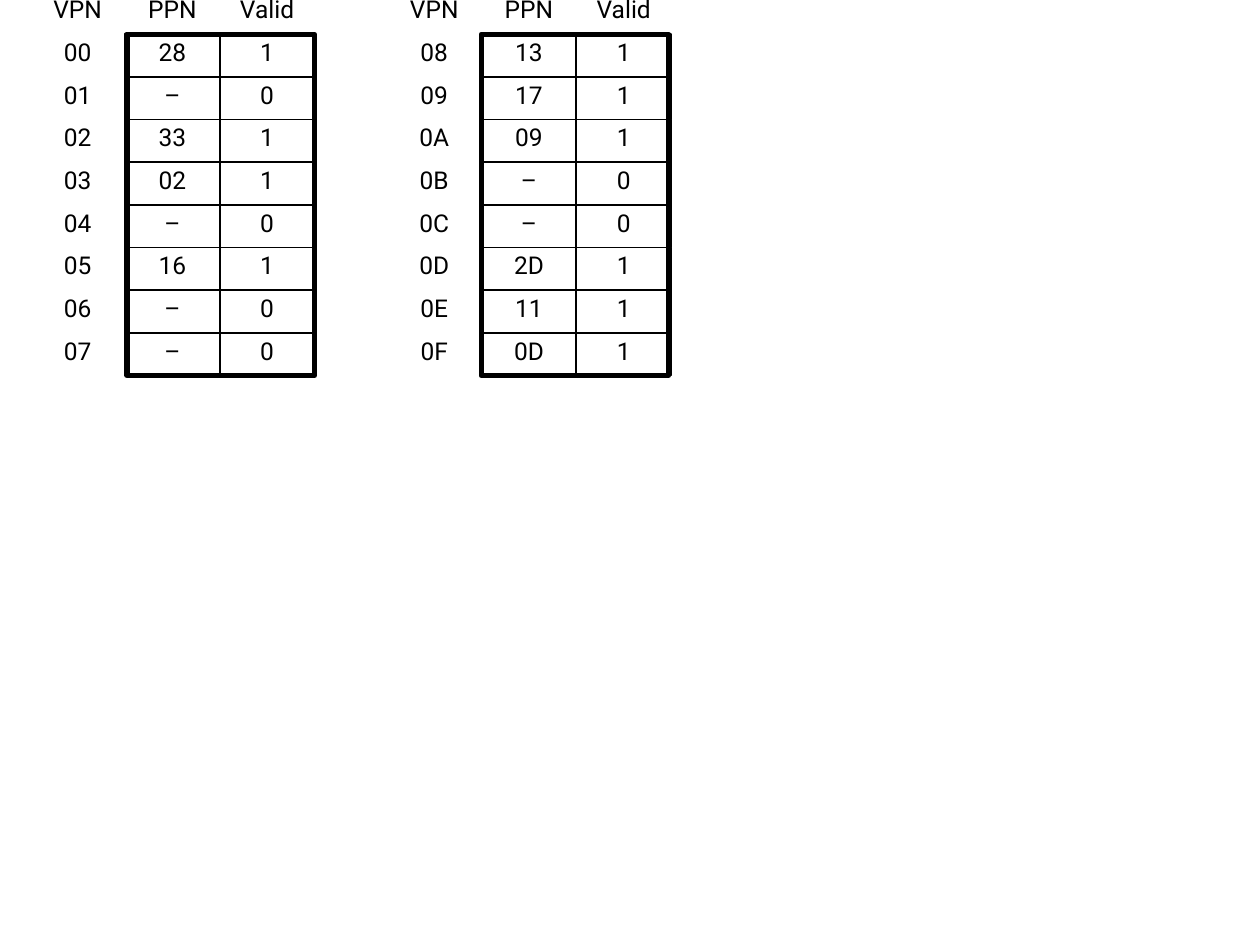
from pptx import Presentation
from pptx.dml.color import RGBColor
from pptx.enum.shapes import MSO_SHAPE as Shape
from pptx.enum.text import MSO_ANCHOR as Anchor, PP_ALIGN as Align
from pptx.util import Cm, Pt

BLACK = RGBColor(0, 0, 0)
FONT = "Roboto"
COLUMN_WIDTH = 1.91
ROW_HEIGHT = 0.86
TABLE_TOP = 0.69
FRAME_WIDTH = 3.78
HEADINGS = ("VPN", "PPN", "Valid")

PAGE_TABLES = [
    (0.61, 2.56, [
        ("00", "28", "1"), ("01", "–", "0"), ("02", "33", "1"), ("03", "02", "1"),
        ("04", "–", "0"), ("05", "16", "1"), ("06", "–", "0"), ("07", "–", "0"),
    ]),
    (7.8, 9.7, [
        ("08", "13", "1"), ("09", "17", "1"), ("0A", "09", "1"), ("0B", "–", "0"),
        ("0C", "–", "0"), ("0D", "2D", "1"), ("0E", "11", "1"), ("0F", "0D", "1"),
    ]),
]


def write_text(box, text):
    frame = box.text_frame
    frame.word_wrap = True
    frame.vertical_anchor = Anchor.TOP
    para = frame.paragraphs[0]
    para.alignment = Align.CENTER
    para.line_spacing = 0.9
    span = para.add_run()
    span.text = text
    span.font.name = FONT
    span.font.size = Pt(14)
    span.font.color.rgb = BLACK


def add_label(page, text, left, top):
    box = page.shapes.add_textbox(Cm(left), Cm(top), Cm(COLUMN_WIDTH), Cm(ROW_HEIGHT))
    write_text(box, text)


def add_outline(page, left, top, width, height, weight):
    box = page.shapes.add_shape(
        Shape.RECTANGLE, Cm(left), Cm(top), Cm(width), Cm(height))
    box.shadow.inherit = False
    box.fill.background()
    box.line.color.rgb = BLACK
    box.line.width = Pt(weight)
    return box


def add_cell(page, text, left, top):
    box = add_outline(page, left, top, COLUMN_WIDTH, ROW_HEIGHT, 1)
    write_text(box, text)


def add_page_table(page, left, frame_left, entries):
    for row, values in enumerate([HEADINGS] + entries):
        top = TABLE_TOP + (row - 1) * ROW_HEIGHT
        for column, text in enumerate(values):
            add_item = add_cell if row and column else add_label
            add_item(page, text, left + column * COLUMN_WIDTH, top)
    add_outline(page, frame_left, TABLE_TOP, FRAME_WIDTH, len(entries) * ROW_HEIGHT, 3)


def main():
    deck = Presentation()
    deck.slide_width, deck.slide_height = Cm(25.4), Cm(19.05)
    page = deck.slides.add_slide(deck.slide_layouts[6])
    for left, frame_left, entries in PAGE_TABLES:
        add_page_table(page, left, frame_left, entries)
    deck.save("out.pptx")


if __name__ == "__main__":
    main()
